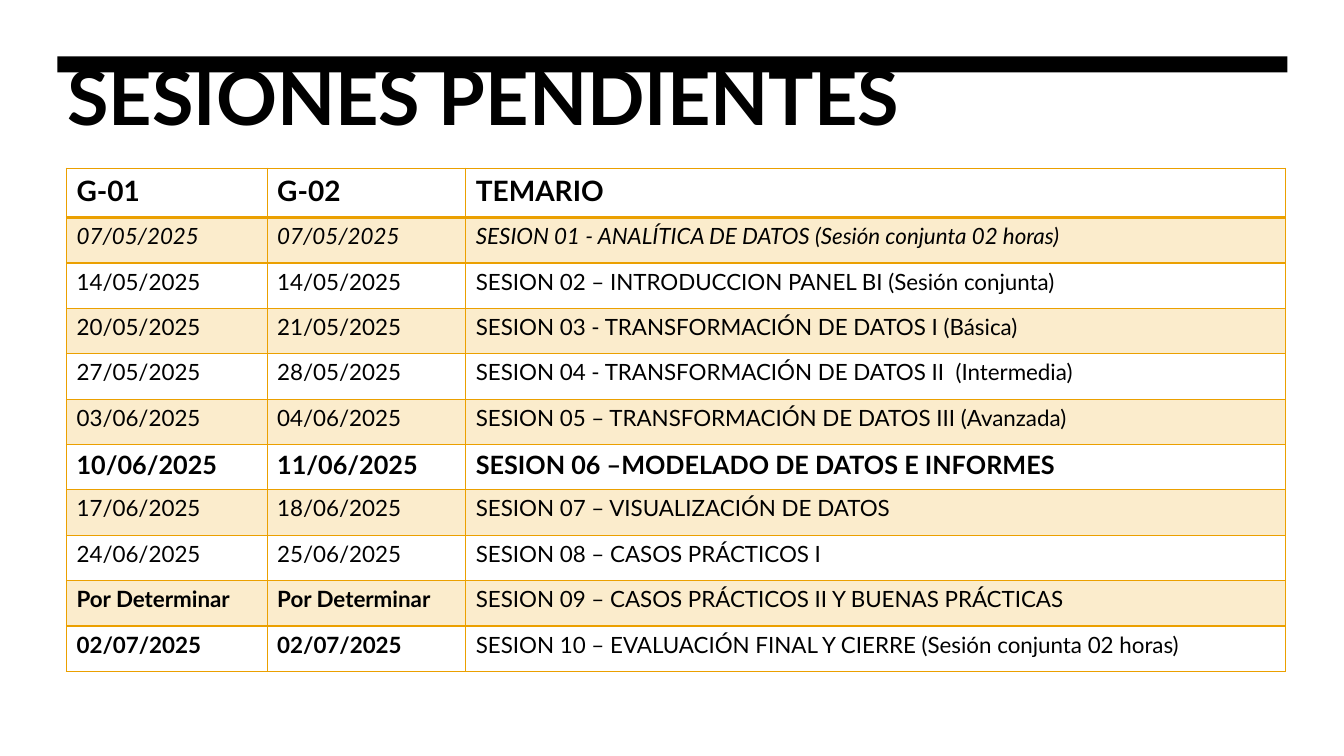
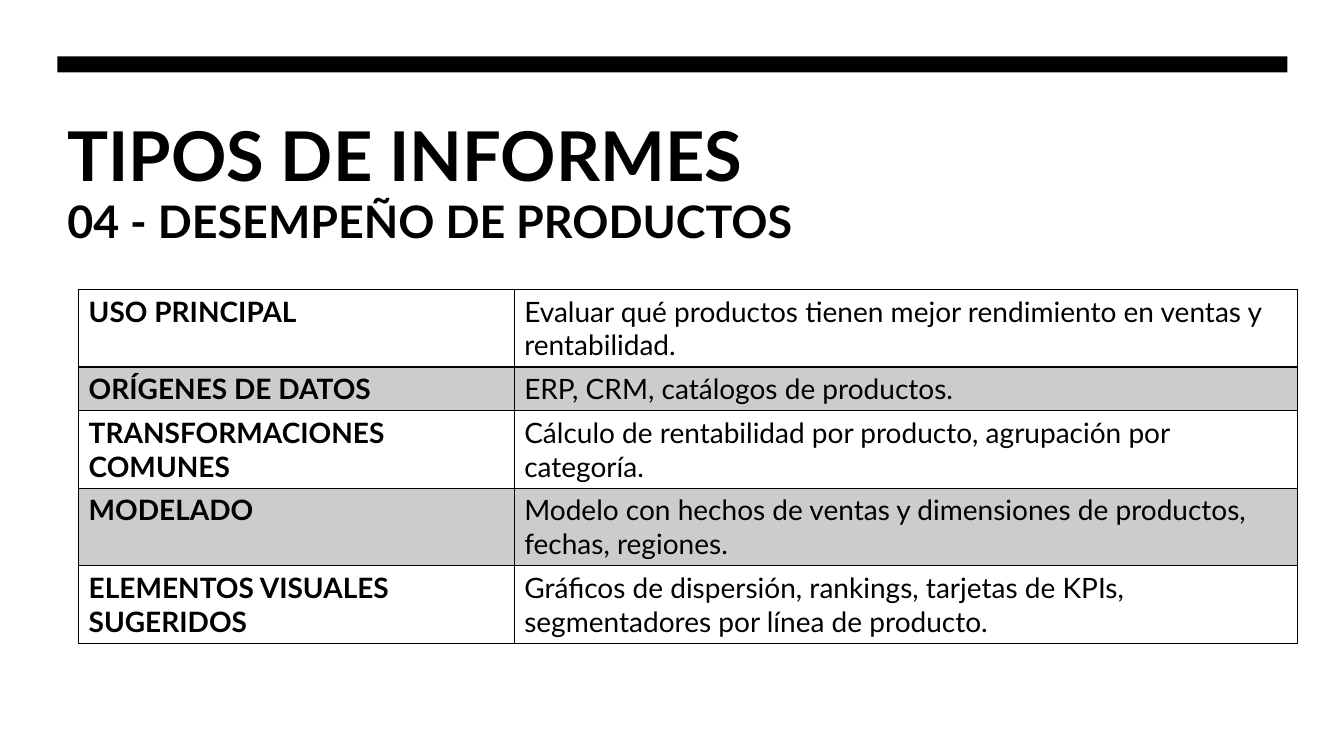
from lxml.etree import SubElement
from pptx import Presentation
from pptx.dml.color import RGBColor
from pptx.enum.shapes import MSO_SHAPE
from pptx.oxml.ns import qn
from pptx.util import Inches, Pt

BLACK = RGBColor(0x00, 0x00, 0x00)
AMBER = RGBColor(0xEB, 0xA0, 0x00)
AMBER_TINT = RGBColor(0xFB, 0xEC, 0xCC)
GREY_TINT = RGBColor(0xCC, 0xCC, 0xCC)
FONT = "Lato"
LEFT, WIDTH = 0.57, 12.2

# Dates of both groups, topic, and the style of the row
SESSIONS = [
    ("07/05/2025", "07/05/2025", "SESION 01 - ANALÍTICA DE DATOS (Sesión conjunta 02 horas)", "italic"),
    ("14/05/2025", "14/05/2025", "SESION 02 – INTRODUCCION PANEL BI (Sesión conjunta)", "plain"),
    ("20/05/2025", "21/05/2025", "SESION 03 - TRANSFORMACIÓN DE DATOS I (Básica)", "plain"),
    ("27/05/2025", "28/05/2025", "SESION 04 - TRANSFORMACIÓN DE DATOS II  (Intermedia)", "plain"),
    ("03/06/2025", "04/06/2025", "SESION 05 – TRANSFORMACIÓN DE DATOS III (Avanzada)", "plain"),
    ("10/06/2025", "11/06/2025", "SESION 06 –MODELADO DE DATOS E INFORMES", "current"),
    ("17/06/2025", "18/06/2025", "SESION 07 – VISUALIZACIÓN DE DATOS", "plain"),
    ("24/06/2025", "25/06/2025", "SESION 08 – CASOS PRÁCTICOS I", "plain"),
    ("Por Determinar", "Por Determinar", "SESION 09 – CASOS PRÁCTICOS II Y BUENAS PRÁCTICAS", "dates"),
    ("02/07/2025", "02/07/2025", "SESION 10 – EVALUACIÓN FINAL Y CIERRE (Sesión conjunta 02 horas)", "dates"),
]

REPORT = [
    ("USO PRINCIPAL", "Evaluar qué productos tienen mejor rendimiento en ventas y rentabilidad."),
    ("ORÍGENES DE DATOS", "ERP, CRM, catálogos de productos."),
    ("TRANSFORMACIONES COMUNES", "Cálculo de rentabilidad por producto, agrupación por categoría."),
    ("MODELADO", "Modelo con hechos de ventas y dimensiones de productos, fechas, regiones."),
    ("ELEMENTOS VISUALES SUGERIDOS",
     "Gráficos de dispersión, rankings, tarjetas de KPIs, segmentadores por línea de producto."),
]


def style(p, size, bold=False, italic=False):
    p.font.name, p.font.size = FONT, Pt(size)
    p.font.bold, p.font.italic = bold, italic
    p.font.color.rgb = BLACK


def add_heading(s, text, top, height, size, spacing=1.0):
    box = s.shapes.add_textbox(*map(Inches, (LEFT, top, WIDTH, height)))
    tf = box.text_frame
    tf.word_wrap = True
    p = tf.paragraphs[0]
    p.text, p.line_spacing = text, spacing
    style(p, size, bold=True)


def add_slide(prs):
    """Blank slide with the black band that all slides share."""
    s = prs.slides.add_slide(prs.slide_layouts[6])
    band = s.shapes.add_shape(MSO_SHAPE.RECTANGLE, *map(Inches, (LEFT, 0.56, WIDTH, 0.16)))
    band.shadow.inherit = False
    band.fill.solid()
    band.fill.fore_color.rgb = BLACK
    band.line.fill.background()
    return s


def set_borders(cell, color, top, bottom):
    tc_pr = cell._tc.get_or_add_tcPr()
    for side, width in (("L", 1), ("R", 1), ("T", top), ("B", bottom)):
        ln = SubElement(tc_pr, qn("a:ln" + side), w=str(Pt(width)))
        fill = SubElement(ln, qn("a:solidFill"))
        SubElement(fill, qn("a:srgbClr"), val=str(color))


def add_grid(s, left, top, cols, heights, rows, line, tint, cell_style):
    """Table with tinted odd rows and a heavier rule below the first row."""
    frame = s.shapes.add_table(len(rows), len(cols), *map(Inches, (left, top, sum(cols), sum(heights))))
    table = frame.table
    table.first_row = table.horz_banding = False
    for column, width in zip(table.columns, cols):
        column.width = Inches(width)
    for i, (row, height, texts) in enumerate(zip(table.rows, heights, rows)):
        row.height = Inches(height)
        for j, (cell, text) in enumerate(zip(row.cells, texts)):
            set_borders(cell, line, 2 if i == 1 else 1, 2 if i == 0 else 1)
            if i % 2:
                cell.fill.solid()
                cell.fill.fore_color.rgb = tint
            else:
                cell.fill.background()
            p = cell.text_frame.paragraphs[0]
            p.text = text
            style(p, **cell_style(i, j))


def session_style(i, j):
    if i == 0:
        return dict(size=20, bold=True)
    kind = SESSIONS[i - 1][3]
    return dict(size=18 if kind == "current" else 16,
                bold=kind == "current" or (kind == "dates" and j < 2),
                italic=kind == "italic")


def report_style(i, j):
    return dict(size=20, bold=j == 0)


def sessions_slide(prs):
    s = add_slide(prs)
    add_heading(s, "SESIONES PENDIENTES", 0.55, 0.97, 54, spacing=0.9)
    rows = [("G-01", "G-02", "TEMARIO")] + [session[:3] for session in SESSIONS]
    heights = [0.49] + [0.45] * len(SESSIONS)
    add_grid(s, 0.66, 1.67, (1.99, 1.97, 8.13), heights, rows, AMBER, AMBER_TINT, session_style)


def report_slide(prs):
    s = add_slide(prs)
    add_heading(s, "TIPOS DE INFORMES", 1.07, 0.82, 49)
    add_heading(s, "04 - DESEMPEÑO DE PRODUCTOS", 1.87, 0.65, 32)
    heights = (0.77, 0.43, 0.77, 0.77, 0.77)
    add_grid(s, 0.78, 2.87, (4.32, 7.77), heights, REPORT, BLACK, GREY_TINT, report_style)


def main():
    prs = Presentation()
    prs.slide_width, prs.slide_height = Inches(13.33), Inches(7.5)
    sessions_slide(prs)
    report_slide(prs)
    prs.save("out.pptx")


if __name__ == "__main__":
    main()
